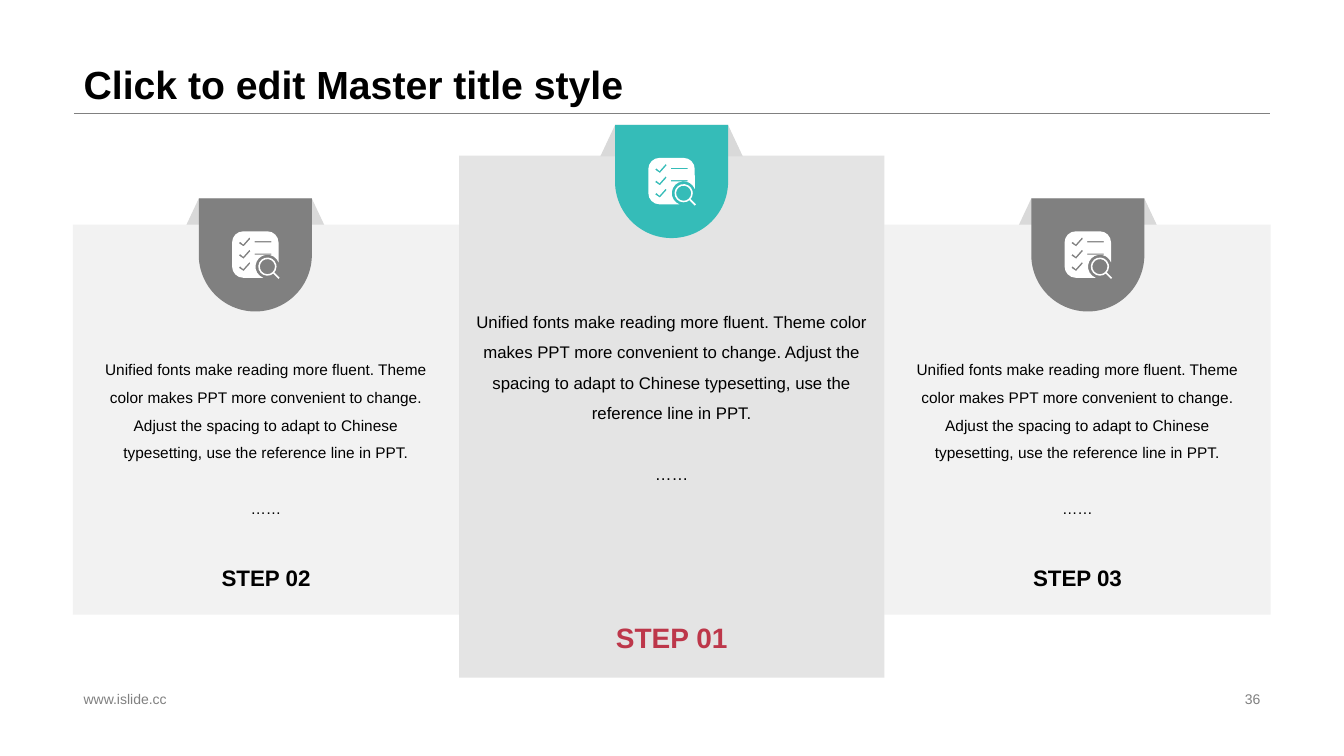
from dataclasses import dataclass
from math import cos, radians, sin

from lxml.etree import SubElement
from pptx import Presentation
from pptx.dml.color import RGBColor
from pptx.enum.shapes import MSO_CONNECTOR, MSO_SHAPE
from pptx.enum.text import MSO_ANCHOR, PP_ALIGN
from pptx.oxml.ns import qn
from pptx.util import Cm, Pt

COLORS = {
    "black": "000000", "white": "FFFFFF", "gray": "808080", "fold": "D9D9D9",
    "panel": "F2F2F2", "teal": "35BCB8", "red": "BD374A",
}
FONT = "Arial"
BODY = ("Unified fonts make reading more fluent. Theme color makes PPT more "
        "convenient to change. Adjust the spacing to adapt to Chinese "
        "typesetting, use the reference line in PPT.")
BADGE = 2.85
ICON = 1.17
LENS = 0.89
TICK = [(0.44, 0.15), (0.28, 0.33), (0.2, 0.26), (0.17, 0.3), (0.29, 0.38), (0.46, 0.19)]
DASH = [(0.57, 0.25), (0.99, 0.25), (0.99, 0.28), (0.57, 0.28)]
HANDLE = [(1.07, 1.04), (1.2, 1.17), (1.17, 1.2), (1.04, 1.07)]


@dataclass
class Step:
    """Wording and look of one step card."""
    label: str
    label_size: int
    label_color: str
    body_size: int
    panel: str
    badge: str
    opacity: int = 100


def rgb(name):
    """Return the named palette colour."""
    return RGBColor.from_string(COLORS[name])


def paint(sp, fill):
    """Give a shape a flat fill without outline or shadow."""
    sp.shadow.inherit = False
    sp.fill.solid()
    sp.fill.fore_color.rgb = rgb(fill)
    sp.line.fill.background()


def add_block(s, kind, box, fill, adjustments=()):
    """Add a flat preset shape."""
    sp = s.shapes.add_shape(kind, *map(Cm, box))
    paint(sp, fill)
    for i, value in enumerate(adjustments):
        sp.adjustments[i] = value
    return sp


def add_line(s, start, end, color, width):
    """Add a straight line without shadow."""
    line = s.shapes.add_connector(MSO_CONNECTOR.STRAIGHT, *map(Cm, start + end))
    line.line.color.rgb = rgb(color)
    line.line.width = Pt(width)
    SubElement(line._element.spPr, qn("a:effectLst"))


def style_paragraph(p, size, color, align=PP_ALIGN.LEFT, bold=False):
    """Set alignment and font of a paragraph."""
    p.alignment = align
    p.font.name = FONT
    p.font.size = Pt(size)
    p.font.bold = bold
    p.font.color.rgb = rgb(color)


def add_text(s, box, lines, size, color, anchor=MSO_ANCHOR.MIDDLE,
             align=PP_ALIGN.LEFT, bold=False, spacing=1.0, gap=0):
    """Add a wrapped text box with one paragraph per line."""
    tf = s.shapes.add_textbox(*map(Cm, box)).text_frame
    tf.word_wrap = True
    tf.vertical_anchor = anchor
    for i, line in enumerate(lines):
        p = tf.add_paragraph() if i else tf.paragraphs[0]
        p.text = line
        p.line_spacing = spacing
        if i:
            p.space_before = Pt(gap)
        style_paragraph(p, size, color, align, bold)


def arc(cx, cy, radius, start, end, steps):
    """Return points along an arc, angles in degrees clockwise from the right."""
    angles = [radians(start + (end - start) * i / steps) for i in range(steps + 1)]
    return [(cx + radius * cos(a), cy + radius * sin(a)) for a in angles]


def add_icon(s, x, y):
    """Draw a checklist with a magnifier as one outline."""
    r = 0.28
    sheet = (arc(r, ICON - r, r, 90, 180, 4) + arc(r, r, r, 180, 270, 4)
             + arc(ICON - r, r, r, 270, 360, 4) + arc(LENS, LENS, 0.3, 339, 111, 12))
    rings = [arc(LENS, LENS, radius, 0, 345, 15) for radius in (0.23, 0.19)]
    ticks = [[(px, py + 0.31 * row) for px, py in TICK] for row in range(3)]
    dashes = [[(px, py + 0.31 * row) for px, py in DASH] for row in range(2)]
    builder = None
    for contour in [sheet, *ticks, *dashes, *rings, HANDLE]:
        points = [(Cm(x + px), Cm(y + py)) for px, py in contour]
        if builder is None:
            builder = s.shapes.build_freeform(*points[0])
        else:
            builder.move_to(*points[0])
        builder.add_line_segments(points[1:], close=True)
    paint(builder.convert_to_shape(), "white")


def add_card(s, box, badge_at, body_at, step):
    """Draw one step card: folded ribbon, panel, badge and text."""
    x, y, w, h = box
    bx, by = badge_at
    add_block(s, MSO_SHAPE.TRAPEZOID, (bx - 0.37, by, BADGE + 0.74, 0.79), "fold", [0.47])

    sp = add_block(s, MSO_SHAPE.RECTANGLE, box, step.panel)
    if step.opacity < 100:
        color = sp._element.spPr.find(qn("a:solidFill"))[0]
        SubElement(color, qn("a:alpha"), val=str(step.opacity * 1000))
    tf = sp.text_frame
    tf.vertical_anchor = MSO_ANCHOR.BOTTOM
    tf.margin_bottom = Cm(0.6)
    p = tf.paragraphs[0]
    p.text = step.label
    style_paragraph(p, step.label_size, step.label_color, PP_ALIGN.CENTER, True)

    add_block(s, MSO_SHAPE.ROUND_2_SAME_RECTANGLE, (bx, by, BADGE, BADGE),
              step.badge, [0, 0.5])
    add_icon(s, bx + 0.84, by + 0.83)
    dx, dy = body_at
    add_text(s, (x + dx, y + dy, w - 2 * dx, 5.61), [BODY, "……"], step.body_size,
             "black", align=PP_ALIGN.CENTER, spacing=1.5, gap=step.body_size * 1.82)


def add_header(s, x, y, w, h):
    """Place the title above its rule."""
    add_text(s, (x, y, w, h), ["Click to edit Master title style"], 28, "black",
             anchor=MSO_ANCHOR.BOTTOM, bold=True, spacing=0.9)
    add_line(s, (x, y + h), (x + w, y + h), "gray", 0.25)


def add_footer(s, x, y, w, h):
    """Place the web address and the page number."""
    add_text(s, (x, y, 11.5, h), ["www.islide.cc"], 10, "gray")
    add_text(s, (x + w - 8, y, 8, h), ["36"], 10, "gray", align=PP_ALIGN.RIGHT)


def add_steps(s, x, y, w):
    """Place the side cards and the raised centre card."""
    side_w, side_y, side_h = 9.73, y + 2.51, 9.83
    sides = (("STEP 03", x + w - side_w, 25.99), ("STEP 02", x, 5.01))
    for label, left, badge_x in sides:
        add_card(s, (left, side_y, side_w, side_h), (badge_x, side_y - 0.66), (0.46, 2.48),
                 Step(label, 16, "black", 11, "panel", "gray"))
    add_card(s, (x + side_w, y + 0.77, w - 2 * side_w, 13.16), (15.5, y), (0, 3.17),
             Step("STEP 01", 20, "red", 12, "fold", "teal", 70))


def main():
    """Build and save the slide."""
    prs = Presentation()
    prs.slide_width, prs.slide_height = Cm(33.87), Cm(19.05)
    s = prs.slides.add_slide(prs.slide_layouts[6])
    add_header(s, 1.86, 0, 30.15, 2.85)
    add_footer(s, 1.86, 17.33, 30.15, 0.58)
    add_steps(s, 1.84, 3.15, 30.18)
    prs.save("out.pptx")


if __name__ == "__main__":
    main()
